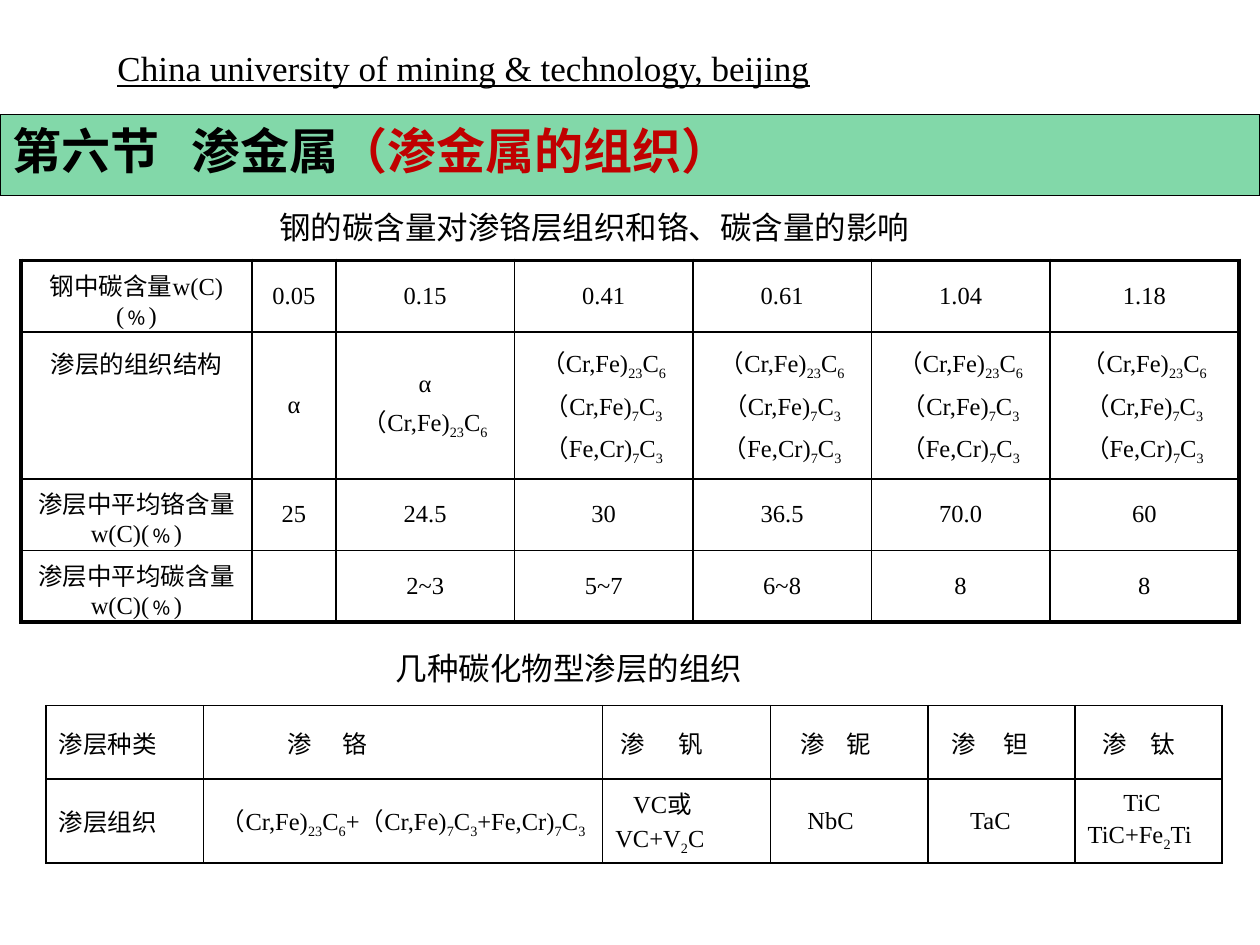
from itertools import product

from lxml import etree
from pptx import Presentation
from pptx import util as u
from pptx.dml.color import RGBColor
from pptx.enum import shapes, text
from pptx.oxml import ns

BLACK = RGBColor(0x00, 0x00, 0x00)
RED = RGBColor(0xC0, 0x00, 0x00)
GREEN = RGBColor(0x00, 0xB0, 0x50)
SERIF, SANS = "Times New Roman", "Arial"
COLUMNS, ROWS = 120, 90
PAGE_WIDTH, PAGE_HEIGHT = u.Inches(10), u.Inches(7.5)

LAYERS = ["（Cr,Fe)|23|C|6", "（Cr,Fe)|7|C|3", "（Fe,Cr)|7|C|3"]
CARBON_COLUMNS = [22, 8, 17, 17, 17, 17, 18]
CARBON_HEIGHTS = [5, 14, 6.8, 6.8]
CARBON_CELLS = [
    ["钢中碳含量w(C)(﹪)", "0.05", "0.15", "0.41", "0.61", "1.04", "1.18"],
    ["渗层的组织结构", "α", ["α", LAYERS[0]]] + [LAYERS] * 4,
    ["渗层中平均铬含量w(C)(﹪)", "25", "24.5", "30", "36.5", "70.0", "60"],
    ["渗层中平均碳含量w(C)(﹪)", "", "2~3", "5~7", "6~8", "8", "8"],
]

CARBIDE_COLUMNS = [15, 38, 16, 15, 14, 14]
CARBIDE_HEIGHTS = [7, 8]
CARBIDE_CELLS = [
    ["渗层种类", "渗\t铬", "渗\t钒", "渗\t铌", "渗\t钽", "渗\t钛"],
    ["渗层组织", "（Cr,Fe)|23|C|6|+（Cr,Fe)|7|C|3|+Fe,Cr)|7|C|3",
     ["VC或", "VC+V|2|C"], "NbC", "TaC", ["TiC", "TiC+Fe|2|Ti"]],
]
CARBIDE_INDENTS = [[0, 6.8, 0.5, 1.6, 1, 1.4], [0, 0, 1.7, 2.3, 2.8, 3.4]]
CARBIDE_TABS = [0, 19.1, 4.9, 6.5, 6.4, 7.4]


def across(columns):
    """Return the length of a number of grid columns."""
    return u.Emu(round(PAGE_WIDTH * columns / COLUMNS))


def down(rows):
    """Return the length of a number of grid rows."""
    return u.Emu(round(PAGE_HEIGHT * rows / ROWS))


def place(box):
    """Turn a grid box into left, top, width and height."""
    left, top, width, height = box
    return across(left), down(top), across(width), down(height)


def write(para, words, size=14, font=SERIF, color=BLACK, bold=False,
          underline=False, align=None, indent=0, tab=0):
    """Add text to a paragraph, with subscripts between bars."""
    para.alignment = align
    props = para._p.get_or_add_pPr()
    if indent:
        props.set("marL", "0")
        props.set("indent", str(across(indent)))
    if tab:
        stops = etree.SubElement(props, ns.qn("a:tabLst"))
        etree.SubElement(stops, ns.qn("a:tab"), pos=str(across(tab)), algn="l")
    for number, part in enumerate(words.split("|")):
        if not part:
            continue
        span = para.add_run()
        span.text = part
        span.font.size = u.Pt(size)
        span.font.name = font
        span.font.color.rgb = color
        span.font.bold = bold
        span.font.underline = underline
        if number % 2:
            span._r.get_or_add_rPr().set("baseline", "-25000")


def add_heading(page, box, words):
    """Place the underlined page heading."""
    frame = page.shapes.add_textbox(*place(box)).text_frame
    frame.word_wrap = True
    frame.vertical_anchor = text.MSO_ANCHOR.MIDDLE
    para = frame.paragraphs[0]
    para.line_spacing = 0.9
    write(para, words, size=20, underline=True)


def add_band(page, box, section, topic):
    """Place the section band with its red topic."""
    band = page.shapes.add_shape(shapes.MSO_SHAPE.RECTANGLE, *place(box))
    band.shadow.inherit = False
    band.fill.solid()
    band.fill.fore_color.rgb = GREEN
    tint = band._element.spPr.find(".//" + ns.qn("a:srgbClr"))
    etree.SubElement(tint, ns.qn("a:alpha"), val="49000")
    band.line.color.rgb = BLACK
    band.line.width = u.Pt(0.75)
    frame = band.text_frame
    frame.vertical_anchor = text.MSO_ANCHOR.TOP
    para, left = frame.paragraphs[0], text.PP_ALIGN.LEFT
    write(para, section, size=28, font=SANS, bold=True, align=left, tab=17.1)
    write(para, topic, size=28, font=SANS, color=RED, bold=True, align=left)


def add_caption(page, box, words):
    """Place an indented table caption."""
    frame = page.shapes.add_textbox(*place(box)).text_frame
    frame.word_wrap = True
    frame.auto_size = text.MSO_AUTO_SIZE.SHAPE_TO_FIT_TEXT
    write(frame.paragraphs[0], words, size=18, font=SANS, indent=6)


def set_borders(cell, widths):
    """Draw the left, right, top and bottom borders of a cell."""
    props = cell._tc.get_or_add_tcPr()
    for index, (side, width) in enumerate(zip("LRTB", widths)):
        edge = etree.Element(ns.qn("a:ln" + side), w=str(u.Pt(width)))
        fill = etree.SubElement(edge, ns.qn("a:solidFill"))
        etree.SubElement(fill, ns.qn("a:srgbClr"), val=str(BLACK))
        props.insert(index, edge)


def add_grid(page, origin, columns, heights, frame_width):
    """Place an empty bordered table and return it."""
    box = (*origin, sum(columns), sum(heights))
    table = page.shapes.add_table(len(heights), len(columns), *place(box)).table
    table.first_row = table.horz_banding = False
    for column, width in zip(table.columns, columns):
        column.width = across(width)
    for row, height in zip(table.rows, heights):
        row.height = down(height)
    last_row, last_column = len(heights) - 1, len(columns) - 1
    for r, c in product(range(len(heights)), range(len(columns))):
        cell = table.cell(r, c)
        cell.fill.background()
        cell.vertical_anchor = text.MSO_ANCHOR.MIDDLE
        outer = (c == 0, c == last_column, r == 0, r == last_row)
        set_borders(cell, [frame_width if edge else 1 for edge in outer])
    return table


def fill_cell(cell, content, indent=0, **style):
    """Write one or more lines in a cell, indenting the first."""
    lines = [content] if isinstance(content, str) else content
    for number, line in enumerate(lines):
        para = cell.text_frame.paragraphs[0]
        if number:
            para = cell.text_frame.add_paragraph()
            para.space_before = u.Pt(2.8)
        write(para, line, indent=0 if number else indent, **style)


def add_carbon_table(page, origin):
    """Place the table of layers by carbon content."""
    table = add_grid(page, origin, CARBON_COLUMNS, CARBON_HEIGHTS, 2.25)
    for r, row in enumerate(CARBON_CELLS):
        for c, content in enumerate(row):
            fill_cell(table.cell(r, c), content, align=text.PP_ALIGN.CENTER)
    label = table.cell(1, 0)
    label.vertical_anchor = text.MSO_ANCHOR.TOP
    label.margin_top = down(1.2)


def add_carbide_table(page, origin):
    """Place the table of carbide layers."""
    table = add_grid(page, origin, CARBIDE_COLUMNS, CARBIDE_HEIGHTS, 1)
    for r, row in enumerate(CARBIDE_CELLS):
        for c, content in enumerate(row):
            centred = (r, c) == (1, 1)
            fill_cell(table.cell(r, c), content, indent=CARBIDE_INDENTS[r][c],
                      tab=0 if r else CARBIDE_TABS[c],
                      align=text.PP_ALIGN.CENTER if centred else None)


def main():
    """Build the deck and save it."""
    deck = Presentation()
    deck.slide_width, deck.slide_height = PAGE_WIDTH, PAGE_HEIGHT
    page = deck.slides.add_slide(deck.slide_layouts[6])
    add_heading(page, (10, 3.4, 86, 6.6),
                "China university of mining & technology, beijing")
    add_band(page, (0, 10.9, COLUMNS, 7.7), "第六节\t渗金属", "（渗金属的组织）")
    add_carbon_table(page, (2, 24.8))
    add_caption(page, (19.4, 19.2, 74, 4.8),
                "钢的碳含量对渗铬层组织和铬、碳含量的影响")
    add_caption(page, (30.5, 61.2, 70, 4.8), "几种碳化物型渗层的组织")
    add_carbide_table(page, (4.4, 67.2))
    deck.save("out.pptx")


if __name__ == "__main__":
    main()
